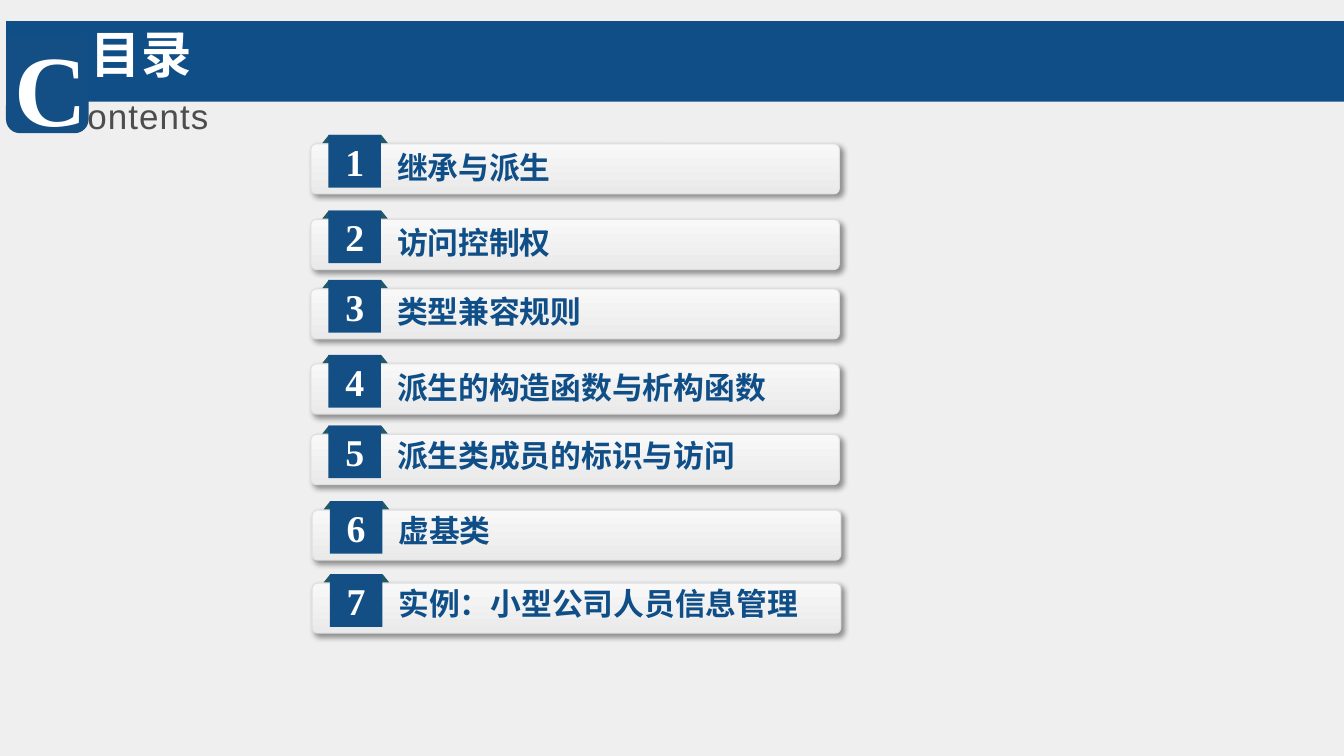
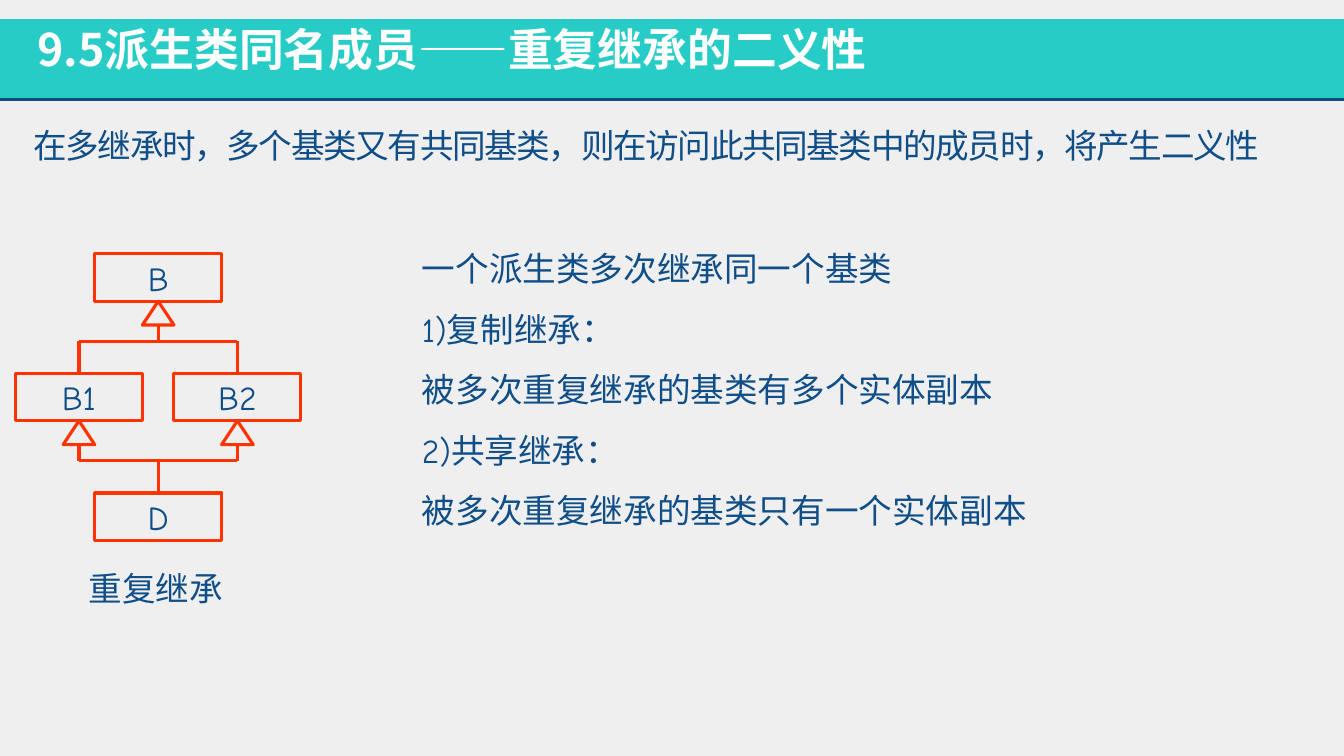
from lxml import etree
from pptx import Presentation
from pptx.dml.color import RGBColor
from pptx.enum.shapes import MSO_CONNECTOR, MSO_SHAPE
from pptx.enum.text import PP_ALIGN
from pptx.oxml.ns import qn
from pptx.util import Pt

RECTANGLE = MSO_SHAPE.RECTANGLE
ROUNDED = MSO_SHAPE.ROUNDED_RECTANGLE
TRAPEZOID = MSO_SHAPE.TRAPEZOID
TRIANGLE = MSO_SHAPE.ISOSCELES_TRIANGLE
STRAIGHT = MSO_CONNECTOR.STRAIGHT
LEFT, CENTER = PP_ALIGN.LEFT, PP_ALIGN.CENTER

PAPER = RGBColor(0xEF, 0xEF, 0xEF)
WHITE = RGBColor(0xFF, 0xFF, 0xFF)
BLUE = RGBColor(0x10, 0x4E, 0x87)
TAB_BLUE = RGBColor(0x13, 0x4F, 0x85)
RULE_BLUE = RGBColor(0x10, 0x4D, 0x7E)
EAR_TEAL = RGBColor(0x21, 0x59, 0x68)
TEAL = RGBColor(0x26, 0xCC, 0xC5)
GREY = RGBColor(0x4D, 0x4D, 0x4D)
BAR_TOP = RGBColor(0xF8, 0xF8, 0xF8)
BAR_BOTTOM = RGBColor(0xEA, 0xEA, 0xEA)
BAR_EDGE = RGBColor(0xDF, 0xDF, 0xE1)
RED = RGBColor(0xFF, 0x33, 0x00)

CJK = "Noto Sans CJK JP"
HAND = "Comic Neue"
SERIF = "Times New Roman"
SLIDE_WIDTH = 960
BAND_HEIGHT = 57.6


def add_block(slide, kind, left, top, width, height, fill=None, line=None):
    block = slide.shapes.add_shape(kind, Pt(left), Pt(top), Pt(width), Pt(height))
    block.shadow.inherit = False
    if fill is None:
        block.fill.background()
    else:
        block.fill.solid()
        block.fill.fore_color.rgb = fill
    if line is None:
        block.line.fill.background()
    else:
        block.line.color.rgb = line
        block.line.width = Pt(2.25)
    return block


def write(shape, text, size, color, latin=CJK, bold=False, align=LEFT,
          line_height=None, tracking=0):
    frame = shape.text_frame
    frame.word_wrap = True
    frame.margin_left = frame.margin_right = 0
    frame.margin_top = frame.margin_bottom = 0
    frame.text = text
    for paragraph in frame.paragraphs:
        paragraph.alignment = align
        if line_height:
            paragraph.line_spacing = Pt(line_height)
        for run in paragraph.runs:
            run.font.size = Pt(size)
            run.font.bold = bold
            run.font.color.rgb = color
            run.font.name = latin
            properties = run.font._element
            etree.SubElement(properties, qn("a:ea"), typeface=CJK)
            if tracking:
                properties.set("spc", str(tracking))


prs = Presentation()
prs.slide_width, prs.slide_height = Pt(SLIDE_WIDTH), Pt(540)
prs.slide_master.background.fill.solid()
prs.slide_master.background.fill.fore_color.rgb = PAPER
blank = prs.slide_layouts[6]

contents = prs.slides.add_slide(blank)
add_block(contents, RECTANGLE, 4.3, 15.1, SLIDE_WIDTH - 4.3, BAND_HEIGHT, BLUE)
add_block(contents, ROUNDED, 4.3, 24.5, 59, 70.6, TAB_BLUE)

for text, left, top, width, height, size, color, latin, bold, tracking in [
    ("目录", 64.8, 16.2, 190, 52, 36, WHITE, "League Spartan", True, 0),
    ("C", 10, 18.7, 54, 80, 72, WHITE, SERIF, True, 0),
    ("ontents", 62.4, 67.8, 100, 30, 25, GREY, "Arial", False, 80),
]:
    heading = contents.shapes.add_textbox(Pt(left), Pt(top), Pt(width), Pt(height))
    write(heading, text, size, color, latin, bold, tracking=tracking)

chapters = [
    ("继承与派生", 0, 96.4, 10),
    ("访问控制权", 0, 150.4, 9.5),
    ("类型兼容规则", 0, 200, 9.2),
    ("派生的构造函数与析构函数", 0, 253.6, 9.9),
    ("派生类成员的标识与访问", 0, 304, 8.1),
    ("虚基类", 1, 358, 7.7),
    ("实例：小型公司人员信息管理", 1, 410.2, 7.6),
]
for number, (chapter, shift, top, label_drop) in enumerate(chapters, 1):
    bar = add_block(contents, ROUNDED, 222 + shift, top + 6.3, 377.6, 35.8)
    bar.adjustments[0] = 0.11
    bar.fill.gradient()
    bar.fill.gradient_angle = 270
    for stop, color in zip(bar.fill.gradient_stops, (BAR_TOP, BAR_BOTTOM)):
        stop.color.rgb = color
    bar.line.color.rgb = BAR_EDGE
    bar.line.width = 0
    effects = bar._element.spPr.find(qn("a:effectLst"))
    shadow = etree.SubElement(effects, qn("a:outerShdw"), blurRad=str(Pt(4)),
                              dist=str(Pt(3)), dir="2700000", algn="tl", rotWithShape="0")
    black = etree.SubElement(shadow, qn("a:srgbClr"), val="000000")
    etree.SubElement(black, qn("a:alpha"), val="40000")

    ear = add_block(contents, TRAPEZOID, 230.2 + shift, top, 46.8, 5.8, EAR_TEAL)
    ear.adjustments[0] = 0.8
    tab = add_block(contents, RECTANGLE, 234.6 + shift, top, 37.6, 37.6, TAB_BLUE)
    write(tab, str(number), 27, WHITE, SERIF, True, CENTER)
    label = contents.shapes.add_textbox(
        Pt(283.6 + shift), Pt(top + label_drop), Pt(310), Pt(32))
    write(label, chapter, 22, BLUE, bold=True)

ambiguity = prs.slides.add_slide(blank)
add_block(ambiguity, RECTANGLE, 0, 13.7, SLIDE_WIDTH, BAND_HEIGHT, TEAL)
title = ambiguity.shapes.add_textbox(Pt(26.6), Pt(15.7), Pt(907), Pt(47))
write(title, "9.5派生类同名成员——重复继承的二义性", 32, WHITE, bold=True)

explanation = "\n".join([
    "一个派生类多次继承同一个基类",
    "1)复制继承：",
    "被多次重复继承的基类有多个实体副本",
    "2)共享继承：",
    "被多次重复继承的基类只有一个实体副本",
])
for text, left, top, width, height, line_height, tracking in [
    ("在多继承时，多个基类又有共同基类，则在访问此共同基类中的成员时，将产生二义性",
     23.8, 89.1, 907, 35, None, -100),
    (explanation, 301.4, 162.8, 482, 216, 43.2, 0),
    ("重复继承", 63.4, 405.6, 100, 35, None, 0),
]:
    passage = ambiguity.shapes.add_textbox(Pt(left), Pt(top), Pt(width), Pt(height))
    write(passage, text, 24, BLUE, HAND, line_height=line_height, tracking=tracking)

CLASS_WIDTH, CLASS_HEIGHT = 90.8, 33.8
ARROW_WIDTH, ARROW_HEIGHT = 22.6, 17
STEM = 11.5
middle = 113
sides = (middle - 56.6, middle + 56.6)
base_top, parent_top, derived_top = (181.4 + 85.4 * row for row in range(3))
upper_bus, lower_bus = (
    top + CLASS_HEIGHT + ARROW_HEIGHT + STEM for top in (base_top, parent_top))

classes = {}
for name, center, top in [
    ("B", middle, base_top),
    ("B1", sides[0], parent_top),
    ("B2", sides[1], parent_top),
    ("D", middle, derived_top),
]:
    classes[name] = add_block(ambiguity, RECTANGLE, center - CLASS_WIDTH / 2, top,
                              CLASS_WIDTH, CLASS_HEIGHT, line=RED)
    write(classes[name], name, 24, BLUE, HAND, align=CENTER)

links = [
    (0, 71.3, SLIDE_WIDTH, 71.3, RULE_BLUE, 2, None),
    (sides[0], upper_bus, sides[1], upper_bus, RED, 2.25, None),
    (sides[0], lower_bus, sides[1], lower_bus, RED, 2.25, None),
    (sides[0], upper_bus, sides[0], parent_top, RED, 2.25, "B1"),
    (sides[1], upper_bus, sides[1], parent_top, RED, 2.25, "B2"),
    (middle, lower_bus, middle, derived_top, RED, 2.25, "D"),
]
for center, bus in [(middle, upper_bus), (sides[0], lower_bus), (sides[1], lower_bus)]:
    add_block(ambiguity, TRIANGLE, center - ARROW_WIDTH / 2, bus - STEM - ARROW_HEIGHT,
              ARROW_WIDTH, ARROW_HEIGHT, line=RED)
    links.append((center, bus - STEM, center, bus, RED, 2.25, None))

for x1, y1, x2, y2, color, weight, target in links:
    link = ambiguity.shapes.add_connector(STRAIGHT, Pt(x1), Pt(y1), Pt(x2), Pt(y2))
    link.line.color.rgb = color
    link.line.width = Pt(weight)
    etree.SubElement(link._element.spPr, qn("a:effectLst"))
    if target:
        link.end_connect(classes[target], 0)

prs.save("out.pptx")
